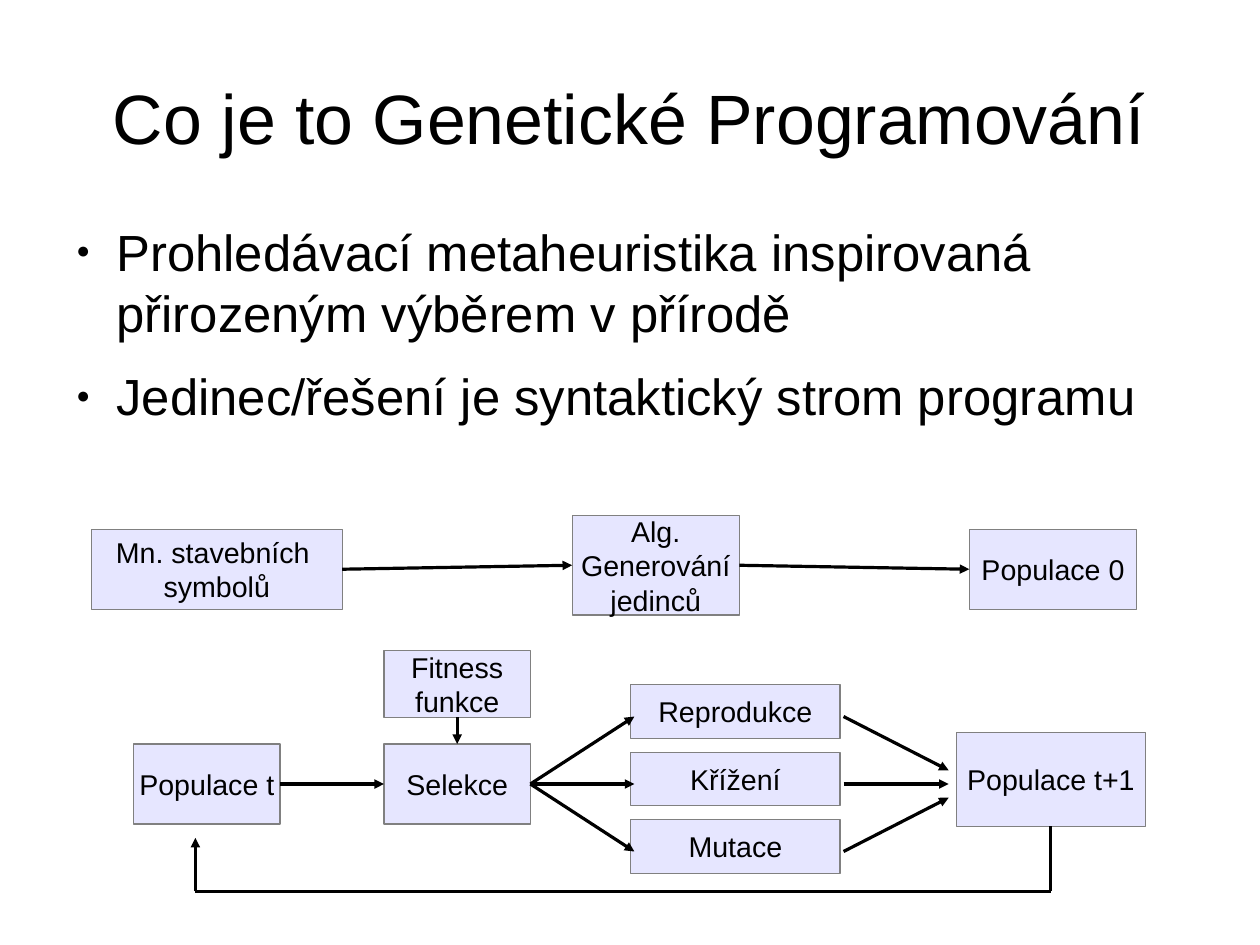
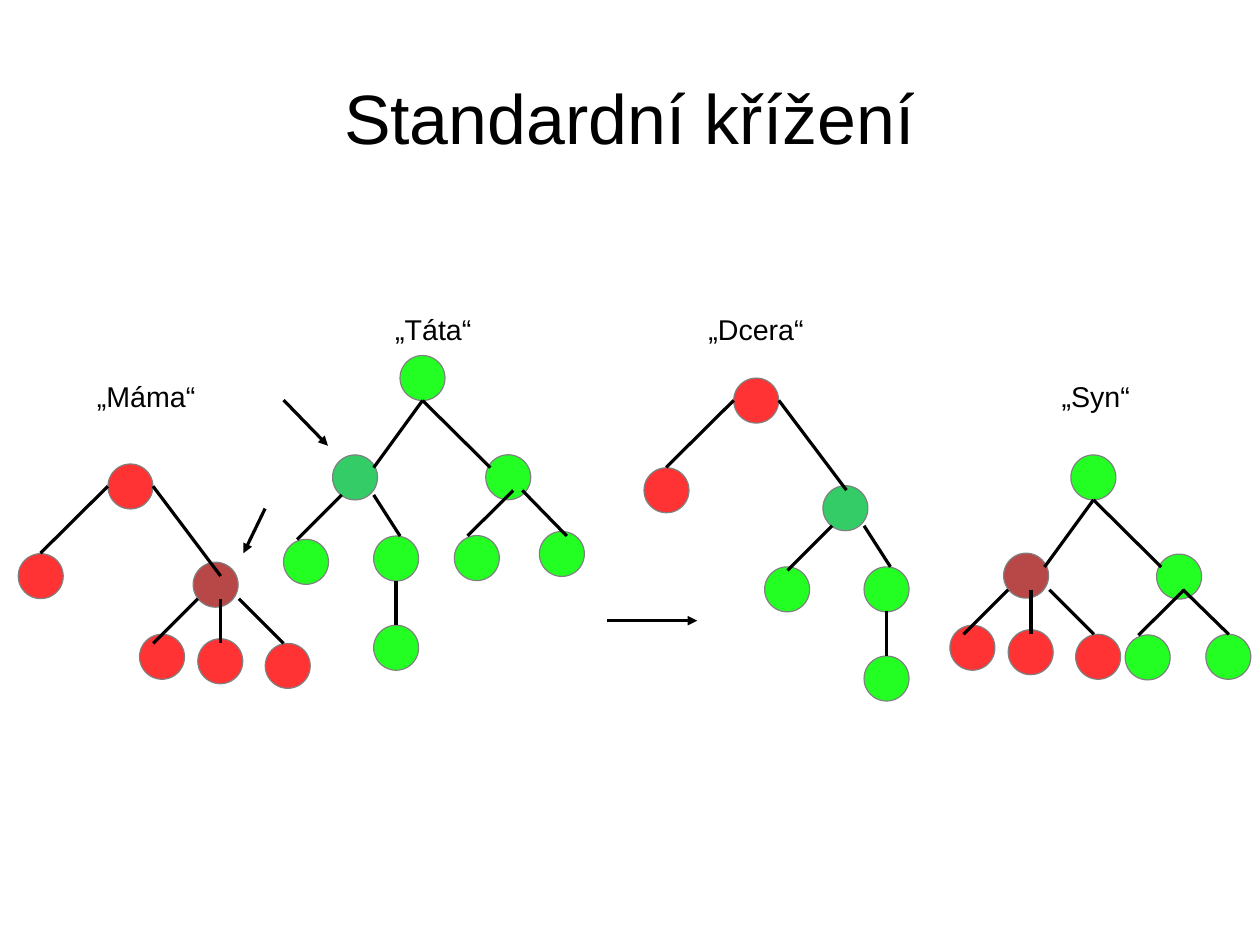
from dataclasses import dataclass
from typing import Optional

from lxml.etree import SubElement
from pptx import Presentation
from pptx.dml.color import RGBColor
from pptx.enum.shapes import MSO_CONNECTOR, MSO_SHAPE
from pptx.enum.text import MSO_ANCHOR, MSO_AUTO_SIZE, PP_ALIGN
from pptx.oxml.ns import qn
from pptx.util import Pt

COLORS = {
    "text": "000000",
    "outline": "808080",
    "step": "E6E6FF",
    "mother": "FF3333",
    "mother_cut": "B84747",
    "father": "23FF23",
    "father_cut": "33CC66",
}
FONT = "Arial"
NODE_SIZE = 28.35
TOP, LEFT, BOTTOM, RIGHT = range(4)
PLAIN_FRAME = {
    "margin_left": 0, "margin_top": 0, "margin_right": 0, "margin_bottom": 0,
    "word_wrap": True, "auto_size": MSO_AUTO_SIZE.NONE,
}
TITLE_FRAME = {**PLAIN_FRAME, "vertical_anchor": MSO_ANCHOR.MIDDLE}
BODY_FRAME = {**PLAIN_FRAME, "vertical_anchor": MSO_ANCHOR.TOP}
LABEL_FRAME = {
    "margin_left": Pt(7.2), "margin_top": Pt(3.6),
    "margin_right": Pt(7.2), "margin_bottom": Pt(3.6),
    "word_wrap": False, "auto_size": MSO_AUTO_SIZE.NONE,
}
STEP_FRAME = {**LABEL_FRAME, "vertical_anchor": MSO_ANCHOR.MIDDLE}


@dataclass(frozen=True)
class Step:
    lines: tuple
    x: float
    y: float
    width: float
    height: float


@dataclass(frozen=True)
class Edge:
    x1: float
    y1: float
    x2: float
    y2: float
    arrow: bool = False


@dataclass(frozen=True)
class Flow:
    edge: Edge
    source: Optional[str] = None
    source_side: int = RIGHT
    target: Optional[str] = None
    target_side: int = LEFT


@dataclass(frozen=True)
class Node:
    x: float
    y: float
    color: str


@dataclass(frozen=True)
class Branch:
    nodes: tuple
    edges: tuple


@dataclass(frozen=True)
class Placement:
    branch: Branch
    x: float
    y: float


@dataclass(frozen=True)
class Caption:
    text: str
    x: float
    y: float
    width: float


BULLETS = (
    "Prohledávací metaheuristika inspirovaná přirozeným výběrem v přírodě",
    "Jedinec/řešení je syntaktický strom programu",
)
OPERATORS = ("Reprodukce", "Křížení", "Mutace")
STEPS = {
    "symbols": Step(("Mn. stavebních ", "symbolů"), 57.6, 333.4, 158, 50.4),
    "generator": Step(("Alg.", "Generování", "jedinců"), 360.4, 324.7, 105.4, 62.8),
    "start": Step(("Populace 0",), 610.6, 333.4, 105.4, 50.4),
    "current": Step(("Populace t",), 84.2, 468.7, 92.2, 50.4),
    "selection": Step(("Selekce",), 241.9, 468.7, 92.2, 50.4),
    **{
        name: Step((name,), 397.4, 431.3 + 42.5 * row, 131.8, 33.8)
        for row, name in enumerate(OPERATORS)
    },
    "next": Step(("Populace t+1",), 602.6, 461.5, 118.8, 59),
    "fitness": Step(("Fitness", "funkce"), 241.9, 409.7, 92.2, 42.3),
}
FLOWS = (
    Flow(Edge(215.6, 358.6, 360.4, 358.6, True), "symbols", RIGHT, "generator"),
    Flow(Edge(465.8, 358.6, 610.6, 358.6, True), "generator", RIGHT, "start"),
    Flow(Edge(176.4, 493.9, 241.9, 493.9, True), "current", RIGHT, "selection"),
    *(
        Flow(Edge(334.1, 493.9, 399.6, 493.9 + 42.5 * row, True), "selection")
        for row in (-1, 0, 1)
    ),
    *(
        Flow(Edge(531.4, 493.9 + 42.5 * row, 597.6, 493.9 + 8.6 * row, True))
        for row in (-1, 0, 1)
    ),
    Flow(Edge(288, 452, 288, 468.7, True), "fitness", BOTTOM, "selection", TOP),
    Flow(Edge(662, 520.5, 662, 561.6), "next", BOTTOM),
    Flow(Edge(662, 561.6, 123.1, 561.6)),
    Flow(Edge(123.1, 561.6, 123.1, 527.8, True)),
)

MOTHER_TOP = Branch(
    (Node(0, 0, "mother"), Node(-56.5, 56.5, "mother")),
    (Edge(0, 14, -42.5, 56.2), Edge(28.4, 14, 71, 70.6)),
)
MOTHER_BRANCH = Branch(
    (
        Node(0, 0, "mother_cut"),
        Node(-33.8, 45.4, "mother"),
        Node(2.9, 48.2, "mother"),
        Node(45.4, 51.1, "mother"),
    ),
    (
        Edge(2.9, 23, -25.2, 51.1),
        Edge(17.3, 23, 17.3, 51.1),
        Edge(28.8, 23, 56.9, 51.1),
    ),
)
FATHER_TOP = Branch(
    (Node(0, 0, "father"), Node(54, 62.5, "father"), Node(34.2, 113.4, "father")),
    (
        Edge(14.2, 28.3, -16.6, 70.6),
        Edge(14.2, 28.3, 56.9, 70.6),
        Edge(42.5, 113.6, 71.3, 85),
    ),
)
FATHER_BRANCH = Branch(
    (
        Node(0, 0, "father_cut"),
        Node(25.9, 51.1, "father"),
        Node(25.9, 107.3, "father"),
    ),
    (
        Edge(-22.3, 53.3, 5.8, 25.2),
        Edge(42.5, 51.1, 25.9, 25.2),
        Edge(39.9, 107.3, 39.9, 79.2),
    ),
)
OUTER_LEAVES = Branch(
    (
        Node(178.6, 339.8, "father"),
        Node(339.8, 334.8, "father"),
        Node(481.7, 357.1, "father"),
        Node(759.6, 399.6, "father"),
    ),
    (Edge(357.1, 337.7, 329, 308.9), Edge(774, 399.6, 745.2, 371.5)),
)
FOREST = (
    Placement(MOTHER_TOP, 68, 292.3),
    Placement(MOTHER_BRANCH, 121.7, 354.2),
    Placement(FATHER_TOP, 252, 224),
    Placement(FATHER_BRANCH, 209.5, 286.6),
    Placement(MOTHER_TOP, 462.2, 238.2),
    Placement(FATHER_BRANCH, 518.4, 306),
    Placement(FATHER_TOP, 674.6, 286.6),
    Placement(MOTHER_BRANCH, 632.2, 348.5),
    Placement(OUTER_LEAVES, 0, 0),
)
POINTERS = (
    Edge(382.3, 391, 439.2, 391, True),
    Edge(167, 320.4, 153.4, 348.5, True),
    Edge(178.6, 252, 206.6, 280.8, True),
)
CAPTIONS = (
    Caption("„Máma“", 54, 235.4, 76.3),
    Caption("„Táta“", 241.9, 193, 62.6),
    Caption("„Dcera“", 439.2, 193, 74.2),
    Caption("„Syn“", 661.7, 235.4, 56.9),
)


def apply(target, values: dict) -> None:
    for name, value in values.items():
        setattr(target, name, value)


def rgb(color: str) -> RGBColor:
    return RGBColor.from_string(COLORS[color])


def write(frame, lines: tuple, size: float, layout: dict, paragraph_format: dict) -> None:
    apply(frame, layout)
    for index, line in enumerate(lines):
        paragraph = frame.add_paragraph() if index else frame.paragraphs[0]
        apply(paragraph, paragraph_format)
        run = paragraph.add_run()
        run.text = line
        apply(run.font, {"name": FONT, "size": Pt(size)})
        run.font.color.rgb = rgb("text")


def add_titled_slide(deck, heading: str):
    slide = deck.slides.add_slide(deck.slide_layouts[5])
    title = slide.shapes.title
    apply(title, {"left": Pt(39.6), "top": Pt(23.8), "width": Pt(714.2), "height": Pt(99.4)})
    write(title.text_frame, (heading,), 44, TITLE_FRAME, {"alignment": PP_ALIGN.CENTER})
    return slide


def add_filled(slide, kind, x: float, y: float, width: float, height: float, color: str):
    outline = slide.shapes.add_shape(kind, Pt(x), Pt(y), Pt(width), Pt(height))
    outline.shadow.inherit = False
    outline.fill.solid()
    outline.fill.fore_color.rgb = rgb(color)
    outline.line.color.rgb = rgb("outline")
    outline.line.width = Pt(0)
    return outline


def add_edge(slide, edge: Edge, x: float = 0, y: float = 0):
    link = slide.shapes.add_connector(
        MSO_CONNECTOR.STRAIGHT,
        Pt(x + edge.x1), Pt(y + edge.y1), Pt(x + edge.x2), Pt(y + edge.y2),
    )
    link.line.color.rgb = rgb("text")
    link.line.width = Pt(0)
    if edge.arrow:
        SubElement(link.line._get_or_add_ln(), qn("a:tailEnd"), type="triangle")
    SubElement(link._element.spPr, qn("a:effectLst"))
    return link


def add_bullets(slide) -> None:
    body = slide.shapes.add_textbox(Pt(39.6), Pt(139), Pt(698.4), Pt(134.6))
    spacing = {"alignment": PP_ALIGN.LEFT, "space_after": Pt(14.2)}
    write(body.text_frame, BULLETS, 32, BODY_FRAME, spacing)
    for paragraph in body.text_frame.paragraphs:
        properties = paragraph._p.get_or_add_pPr()
        properties.set("marL", str(Pt(33.8)))
        properties.set("indent", str(Pt(-25.2)))
        SubElement(properties, qn("a:buSzPct"), val="45000")
        SubElement(properties, qn("a:buFont"), typeface=FONT)
        SubElement(properties, qn("a:buChar"), char="●")


def build_overview(deck) -> None:
    slide = add_titled_slide(deck, "Co je to Genetické Programování")
    add_bullets(slide)
    boxes = {}
    for name, step in STEPS.items():
        box = add_filled(slide, MSO_SHAPE.RECTANGLE, step.x, step.y, step.width, step.height, "step")
        write(box.text_frame, step.lines, 18, STEP_FRAME, {"alignment": PP_ALIGN.CENTER})
        boxes[name] = box
    for flow in FLOWS:
        link = add_edge(slide, flow.edge)
        if flow.source:
            link.begin_connect(boxes[flow.source], flow.source_side)
        if flow.target:
            link.end_connect(boxes[flow.target], flow.target_side)


def build_crossover(deck) -> None:
    slide = add_titled_slide(deck, "Standardní křížení")
    for place in FOREST:
        for node in place.branch.nodes:
            add_filled(slide, MSO_SHAPE.OVAL, place.x + node.x, place.y + node.y,
                       NODE_SIZE, NODE_SIZE, node.color)
    for place in FOREST:
        for edge in place.branch.edges:
            add_edge(slide, edge, place.x, place.y)
    for pointer in POINTERS:
        add_edge(slide, pointer)
    for caption in CAPTIONS:
        label = slide.shapes.add_textbox(Pt(caption.x), Pt(caption.y), Pt(caption.width), Pt(27.4))
        write(label.text_frame, (caption.text,), 18, LABEL_FRAME, {"alignment": PP_ALIGN.LEFT})


def main() -> None:
    deck = Presentation()
    apply(deck, {"slide_width": Pt(793.7), "slide_height": Pt(595.3)})
    build_overview(deck)
    build_crossover(deck)
    deck.save("out.pptx")


if __name__ == "__main__":
    main()
